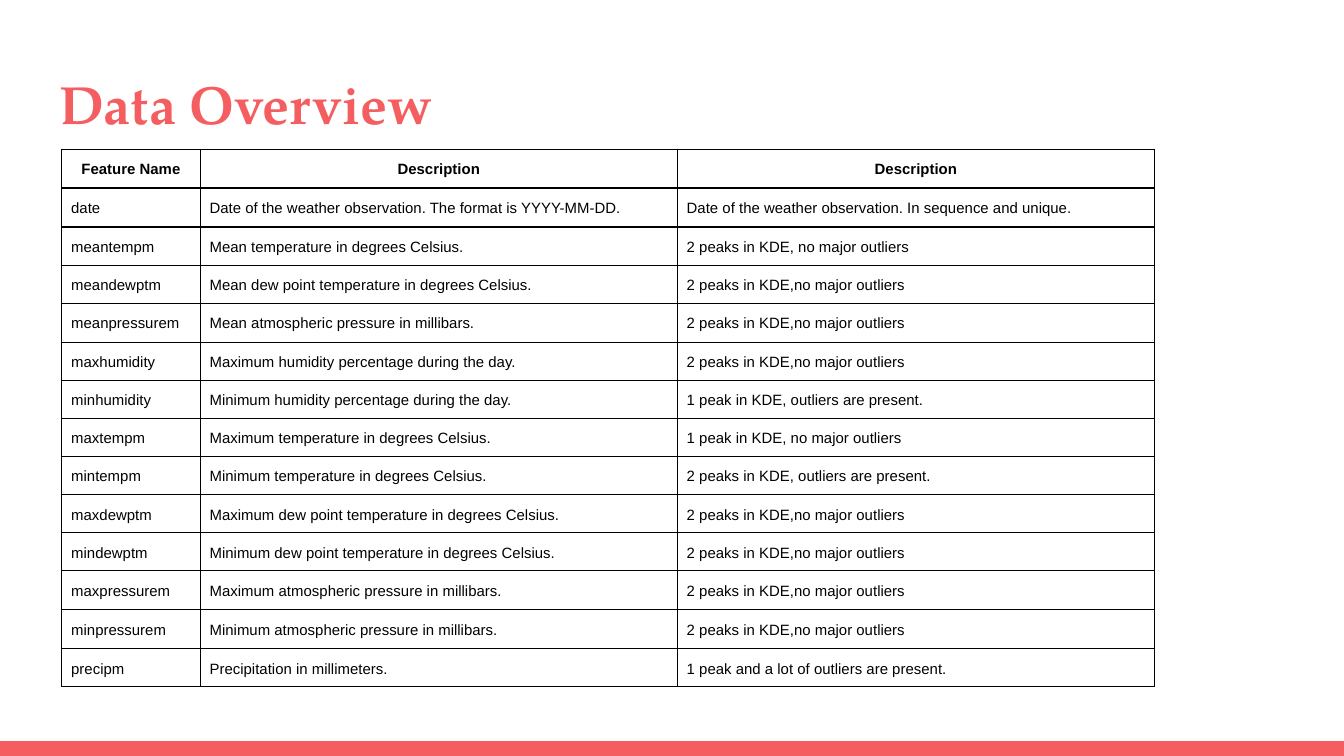
from lxml.etree import SubElement
from pptx import Presentation
from pptx.dml.color import RGBColor
from pptx.enum.shapes import MSO_SHAPE as Shape
from pptx.enum.text import MSO_ANCHOR as Anchor, PP_ALIGN as Align
from pptx.oxml.ns import qn
from pptx.util import Inches, Pt

CORAL = RGBColor(0xF5, 0x5E, 0x61)
BLACK = RGBColor(0, 0, 0)

TITLE = "Data Overview"
HEADER = ("Feature Name", "Description", "Description")
TWO_PEAKS = "2 peaks in KDE,no major outliers"
FEATURES = [
    ("date", "Date of the weather observation. The format is YYYY-MM-DD.",
     "Date of the weather observation. In sequence and unique."),
    ("meantempm", "Mean temperature in degrees Celsius.", "2 peaks in KDE, no major outliers"),
    ("meandewptm", "Mean dew point temperature in degrees Celsius.", TWO_PEAKS),
    ("meanpressurem", "Mean atmospheric pressure in millibars.", TWO_PEAKS),
    ("maxhumidity", "Maximum humidity percentage during the day.", TWO_PEAKS),
    ("minhumidity", "Minimum humidity percentage during the day.", "1 peak in KDE, outliers are present."),
    ("maxtempm", "Maximum temperature in degrees Celsius.", "1 peak in KDE, no major outliers"),
    ("mintempm", "Minimum temperature in degrees Celsius.", "2 peaks in KDE, outliers are present."),
    ("maxdewptm", "Maximum dew point temperature in degrees Celsius.", TWO_PEAKS),
    ("mindewptm", "Minimum dew point temperature in degrees Celsius.", TWO_PEAKS),
    ("maxpressurem", "Maximum atmospheric pressure in millibars.", TWO_PEAKS),
    ("minpressurem", "Minimum atmospheric pressure in millibars.", TWO_PEAKS),
    ("precipm", "Precipitation in millimeters.", "1 peak and a lot of outliers are present."),
]
ROWS = [HEADER] + FEATURES
TALL_ROWS = {0, 1, 4, 11, 12}
COL_WIDTHS = [Inches(w) for w in (1.03, 3.55, 3.55)]
ROW_HEIGHTS = [Inches(0.29 if r in TALL_ROWS else 0.26) for r in range(len(ROWS))]
CELL_MARGIN = Inches(0.07)
TITLE_MARGIN = Inches(0.1)
BAR_HEIGHT = Inches(0.11)


def set_font(p, name, size, color, bold):
    f = p.font
    f.name, f.size, f.bold = name, Pt(size), bold
    f.color.rgb = color


def set_margins(box, margin):
    box.margin_left = box.margin_right = margin
    box.margin_top = box.margin_bottom = margin


def add_borders(cell):
    tc_pr = cell._tc.get_or_add_tcPr()
    for i, side in enumerate(("lnL", "lnR", "lnT", "lnB")):
        ln = tc_pr.makeelement(qn(f"a:{side}"), {"w": str(Pt(0.75))})
        fill = SubElement(ln, qn("a:solidFill"))
        SubElement(fill, qn("a:srgbClr"), val=str(BLACK))
        tc_pr.insert(i, ln)


def fill_cell(cell, text, is_header):
    set_margins(cell, CELL_MARGIN)
    cell.fill.background()
    p = cell.text_frame.paragraphs[0]
    p.text = text
    p.alignment = Align.CENTER if is_header else Align.LEFT
    p.line_spacing = 1.15
    set_font(p, "Arial", 8, BLACK, is_header)
    add_borders(cell)


prs = Presentation()
prs.slide_width = Inches(10)
prs.slide_height = prs.slide_width * 9 // 16
s = prs.slides.add_slide(prs.slide_layouts[5])

bar = s.shapes.add_shape(Shape.RECTANGLE, 0, prs.slide_height - BAR_HEIGHT, prs.slide_width, BAR_HEIGHT)
bar.shadow.inherit = False
bar.fill.solid()
bar.fill.fore_color.rgb = CORAL
bar.line.fill.background()

title = s.shapes.title
title.left, title.top = Inches(0.34), Inches(0.43)
title.width, title.height = Inches(9.32), Inches(0.68)
tf = title.text_frame
set_margins(tf, TITLE_MARGIN)
tf.vertical_anchor = Anchor.MIDDLE
p = tf.paragraphs[0]
p.text = TITLE
p.alignment = Align.LEFT
set_font(p, "TeX Gyre Pagella", 28.8, CORAL, True)

table = s.shapes.add_table(len(ROWS), len(HEADER), Inches(0.46), Inches(1.11),
                           sum(COL_WIDTHS), sum(ROW_HEIGHTS)).table
for col, width in zip(table.columns, COL_WIDTHS):
    col.width = width
for r, row in enumerate(ROWS):
    table.rows[r].height = ROW_HEIGHTS[r]
    for c, text in enumerate(row):
        fill_cell(table.cell(r, c), text, r == 0)

prs.save("out.pptx")
